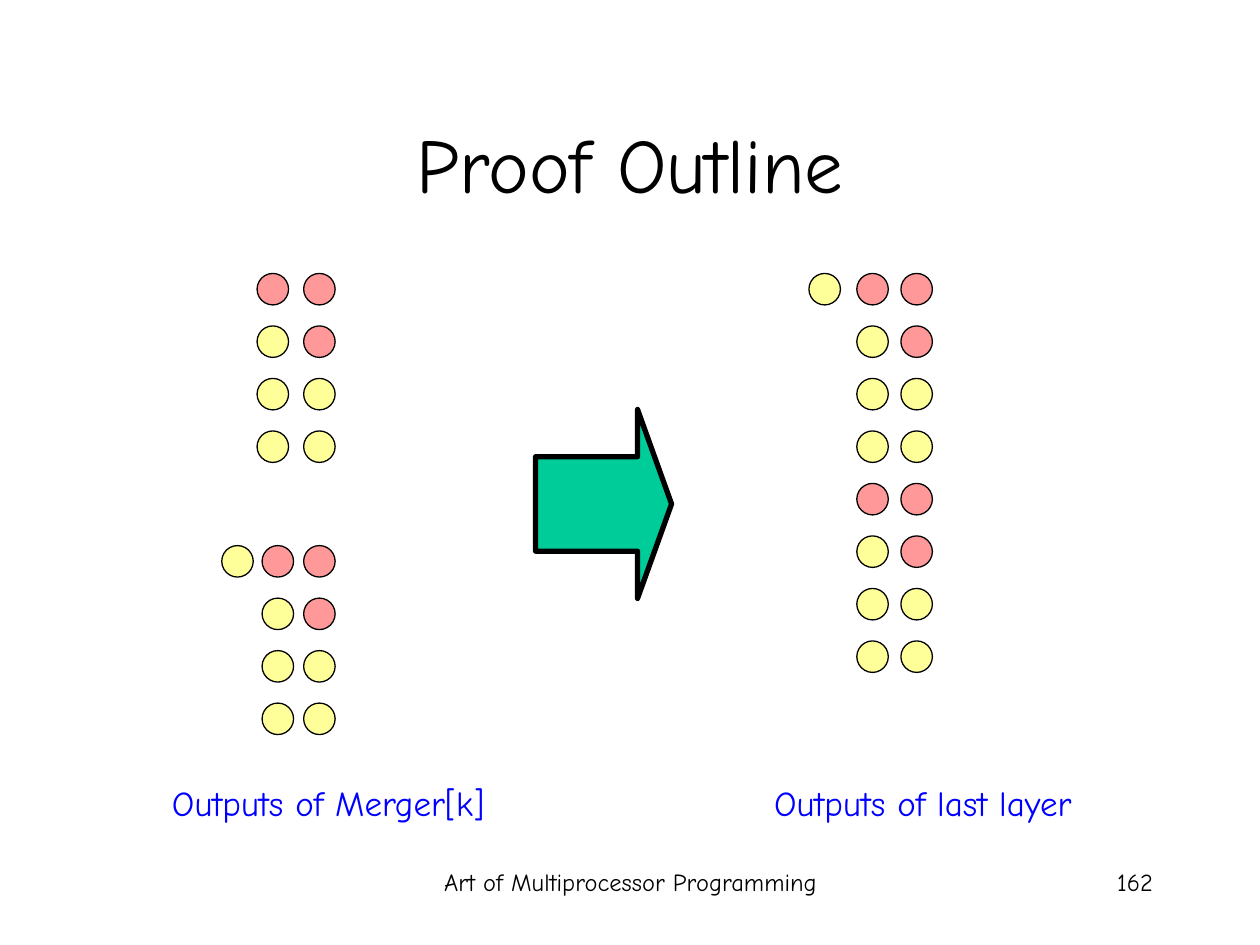
from pptx import Presentation
from pptx.dml.color import RGBColor
from pptx.enum.shapes import MSO_SHAPE
from pptx.enum.text import MSO_ANCHOR, PP_ALIGN
from pptx.util import Inches, Pt

FONT = "Comic Neue"
BLACK, BLUE, GREEN = "000000", "0000FF", "00CC99"
TOKEN_COLORS = {"R": "FF9999", "Y": "FFFF99"}
TOKEN_SIZE = 0.25
ROW_PITCH = 5 / 12
TOKEN_ROWS = ["RR", "YR", "YY", "YY"]  # one merger's output wires


def color(hex_string):
    return RGBColor.from_string(hex_string)


def write(s, text, size=20, fill=BLACK, align=PP_ALIGN.CENTER,
          anchor=MSO_ANCHOR.TOP, wrap=True):
    tf = s.text_frame
    tf.word_wrap = wrap
    tf.vertical_anchor = anchor
    p = tf.paragraphs[0]
    p.alignment = align
    r = p.add_run()
    r.text = text
    r.font.name = FONT
    r.font.size = Pt(size)
    r.font.color.rgb = color(fill)


def add_label(slide, box, text, **style):
    s = slide.shapes.add_textbox(*map(Inches, box))
    write(s, text, **style)


def add_shape(slide, kind, box, fill, line_width):
    s = slide.shapes.add_shape(kind, *map(Inches, box))
    s.shadow.inherit = False
    s.fill.solid()
    s.fill.fore_color.rgb = color(fill)
    s.line.color.rgb = color(BLACK)
    s.line.width = Pt(line_width)
    return s


def add_tokens(slide, columns, top, rows):
    """Draw rows of tokens, aligned to the rightmost columns."""
    for i, row in enumerate(rows):
        for left, token in zip(columns[-len(row):], row):
            box = (left, top + i * ROW_PITCH, TOKEN_SIZE, TOKEN_SIZE)
            add_shape(slide, MSO_SHAPE.OVAL, box, TOKEN_COLORS[token], 0.75)


def add_title(slide, box, text):
    s = slide.shapes.title
    s.left, s.top, s.width, s.height = map(Inches, box)
    write(s, text, size=44, anchor=MSO_ANCHOR.MIDDLE)


def main():
    prs = Presentation()
    prs.slide_width, prs.slide_height = Inches(10), Inches(7.5)
    slide = prs.slides.add_slide(prs.slide_layouts[5])
    add_title(slide, (0.75, 0.67, 8.5, 1.25), "Proof Outline")

    # Tokens: two mergers on the left, the last layer on the right
    extra_token_rows = ["YRR"] + TOKEN_ROWS[1:]
    add_tokens(slide, [2.04, 2.41], 2.17, TOKEN_ROWS)
    add_tokens(slide, [1.76, 2.08, 2.41], 4.33, extra_token_rows)
    add_tokens(slide, [6.42, 6.8, 7.15], 2.17, extra_token_rows + TOKEN_ROWS)

    # Arrow between the two sides
    arrow = add_shape(slide, MSO_SHAPE.RIGHT_ARROW, (4.25, 3.25, 1.08, 1.5),
                      GREEN, 3)
    arrow.adjustments[0] = 0.5
    arrow.adjustments[1] = 0.25

    # Captions
    for left, width, text in [(1.26, 2.69, "Outputs of Merger[k]"),
                              (6.04, 2.57, "Outputs of last layer")]:
        add_label(slide, (left, 6.15, width, 0.44), text, fill=BLUE, wrap=False)

    # Footer and page number
    add_label(slide, (3.42, 6.83, 3.17, 0.5),
              "Art of Multiprocessor Programming", size=14)
    add_label(slide, (7.17, 6.83, 2.08, 0.5), "162", size=14,
              align=PP_ALIGN.RIGHT)

    prs.save("out.pptx")


if __name__ == "__main__":
    main()
